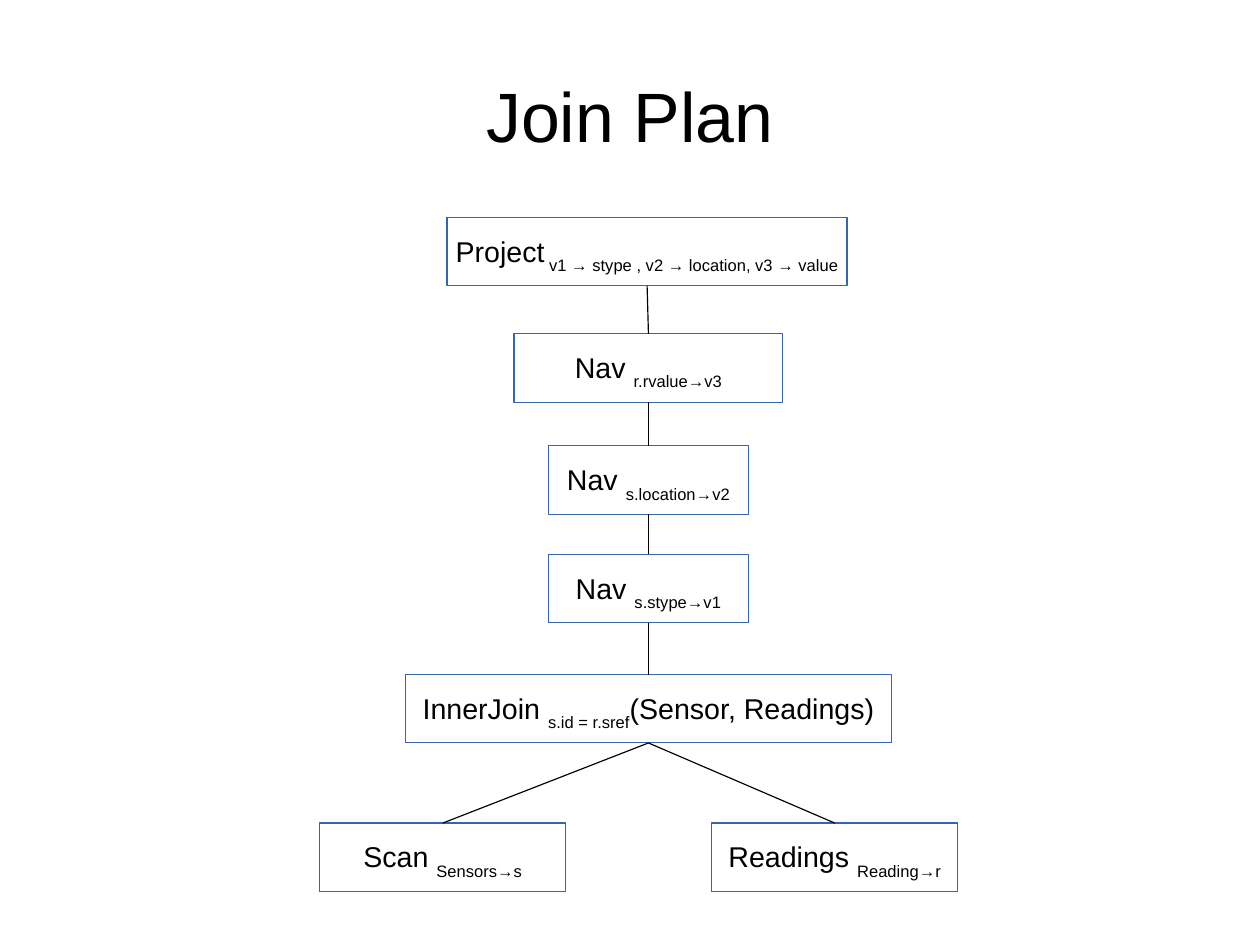
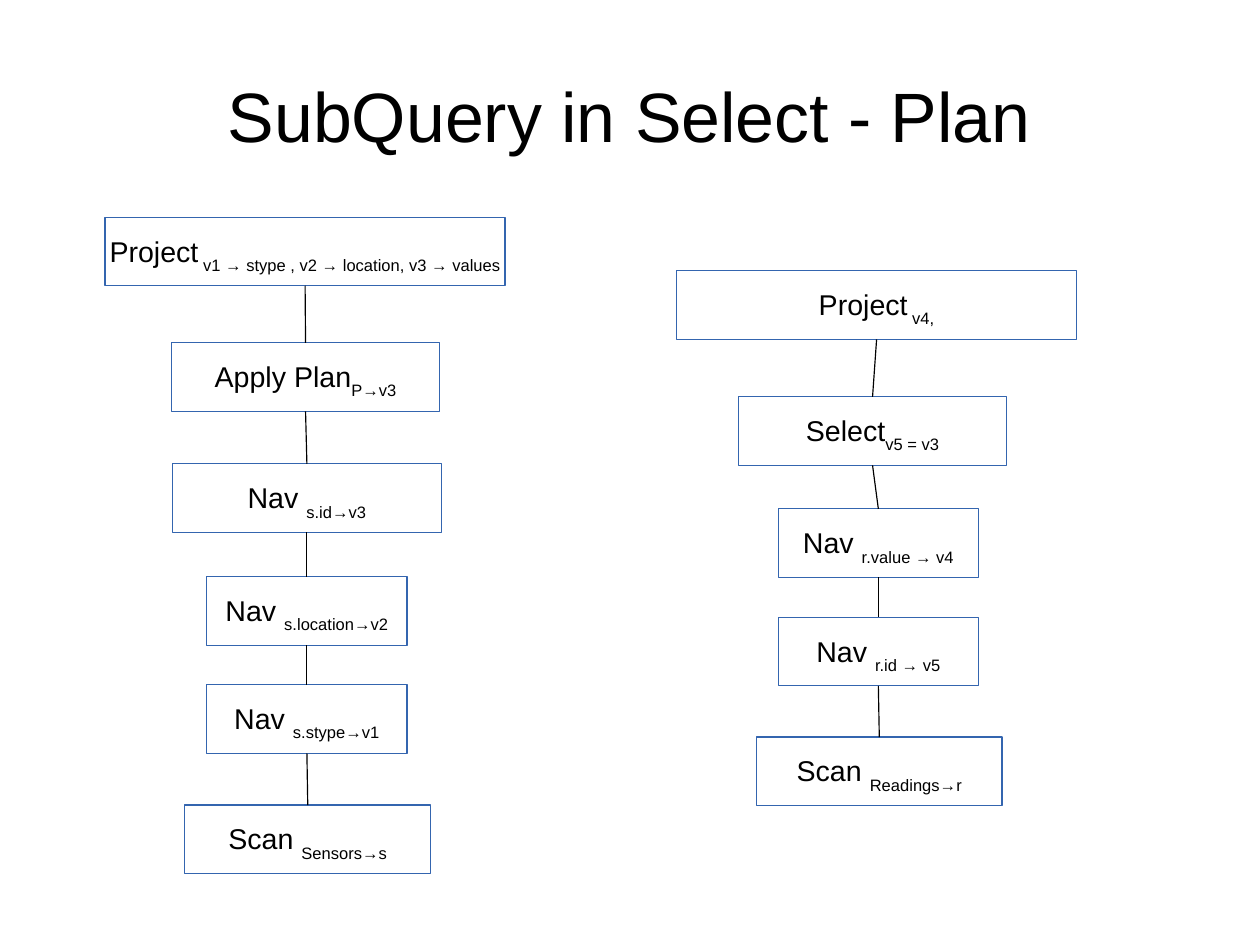
import pptx
import pptx.util
import pptx.dml.color
import pptx.enum.shapes
import pptx.enum.text
import pptx.oxml.ns
import lxml.etree

Cm, Pt = pptx.util.Cm, pptx.util.Pt
HEX = {"ink": "000000", "edge": "3465AF", "fill": "FFFFFF"}


def color(name):
    return pptx.dml.color.RGBColor.from_string(HEX[name])


class Deck:
    """Holds the shared style and the current slide."""

    font = "Arial"
    high = 1.52  # height of every plan box
    foot, head = 2, 0  # connection sites of a box

    def __init__(self):
        self.prs = pptx.Presentation()
        self.prs.slide_width, self.prs.slide_height = Cm(28), Cm(21)

    def label(self, frame, text, size, pads):
        """Centred text; every second part between bars is a subscript."""
        frame.vertical_anchor = pptx.enum.text.MSO_ANCHOR.MIDDLE
        (frame.margin_left, frame.margin_top,
         frame.margin_right, frame.margin_bottom) = map(Cm, pads)
        para = frame.paragraphs[0]
        para.alignment = pptx.enum.text.PP_ALIGN.CENTER
        para.line_spacing = 0.93
        para.font.name, para.font.size = self.font, Pt(size)
        para.font.color.rgb = color("ink")
        for i, part in enumerate(text.split("|")):
            run = para.add_run()
            run.text = part
            if i % 2:
                run._r.get_or_add_rPr().set("baseline", "-33000")

    def page(self, title):
        self.slide = self.prs.slides.add_slide(self.prs.slide_layouts[6])
        box = self.slide.shapes.add_textbox(Cm(1.4), Cm(0.84), Cm(25.2), Cm(3.5))
        box.text_frame.word_wrap = True
        self.label(box.text_frame, title, 44, (0, 0.1, 0, 0))

    def box(self, mid, top, wide, text):
        rect = self.slide.shapes.add_shape(
            pptx.enum.shapes.MSO_SHAPE.RECTANGLE,
            Cm(mid - wide / 2), Cm(top), Cm(wide), Cm(self.high))
        rect.shadow.inherit = False
        rect.fill.solid()
        rect.fill.fore_color.rgb = color("fill")
        rect.line.color.rgb = color("edge")
        rect.line.width = Pt(0.75)
        rect.text_frame.word_wrap = False
        self.label(rect.text_frame, text, 18, (0.25, 0.18, 0.25, 0.13))
        return rect

    def link(self, upper, lower):
        line = self.slide.shapes.add_connector(
            pptx.enum.shapes.MSO_CONNECTOR.STRAIGHT, 0, 0, 0, 0)
        line.begin_connect(upper, self.foot)
        line.end_connect(lower, self.head)
        line.line.color.rgb = color("ink")
        line.line.width = Pt(0.75)
        lxml.etree.SubElement(line._element.spPr, pptx.oxml.ns.qn("a:effectLst"))

    def chain(self, rows):
        """Stack boxes, join each to the next, and return the last."""
        boxes = [self.box(*row) for row in rows]
        for upper, lower in zip(boxes, boxes[1:]):
            self.link(upper, lower)
        return boxes[-1]


def main():
    deck = Deck()

    # Join plan: one chain that forks into two inputs
    deck.page("Join Plan")
    join = deck.chain([
        (14.38, 4.83, 8.89, "Project| v1 → stype , v2 → location, v3 → value"),
        (14.41, 7.42, 5.97, "Nav |r.rvalue→v3"),
        (14.41, 9.91, 4.45, "Nav |s.location→v2"),
        (14.41, 12.32, 4.45, "Nav |s.stype→v1"),
        (14.41, 14.99, 10.8, "InnerJoin |s.id = r.sref|(Sensor, Readings)"),
    ])
    for mid, text in ((9.84, "Scan |Sensors→s"), (18.55, "Readings |Reading→r")):
        deck.link(join, deck.box(mid, 18.29, 5.46, text))

    # Subquery plan: outer chain on the left, inner chain on the right
    deck.page("SubQuery in Select - Plan")
    deck.chain([
        (6.78, 4.83, 8.89, "Project| v1 → stype , v2 → location, v3 → values"),
        (6.79, 7.62, 5.97, "Apply Plan|P→v3"),
        (6.82, 10.31, 5.97, "Nav |s.id→v3"),
        (6.82, 12.82, 4.45, "Nav |s.location→v2"),
        (6.82, 15.22, 4.45, "Nav |s.stype→v1"),
        (6.84, 17.89, 5.46, "Scan |Sensors→s"),
    ])
    deck.chain([
        (19.48, 6.02, 8.89, "Project| v4,"),
        (19.39, 8.82, 5.97, "Select|v5 = v3"),
        (19.52, 11.31, 4.45, "Nav |r.value → v4"),
        (19.52, 13.72, 4.45, "Nav |r.id → v5"),
        (19.54, 16.38, 5.46, "Scan |Readings→r"),
    ])

    deck.prs.save("out.pptx")


if __name__ == "__main__":
    main()
